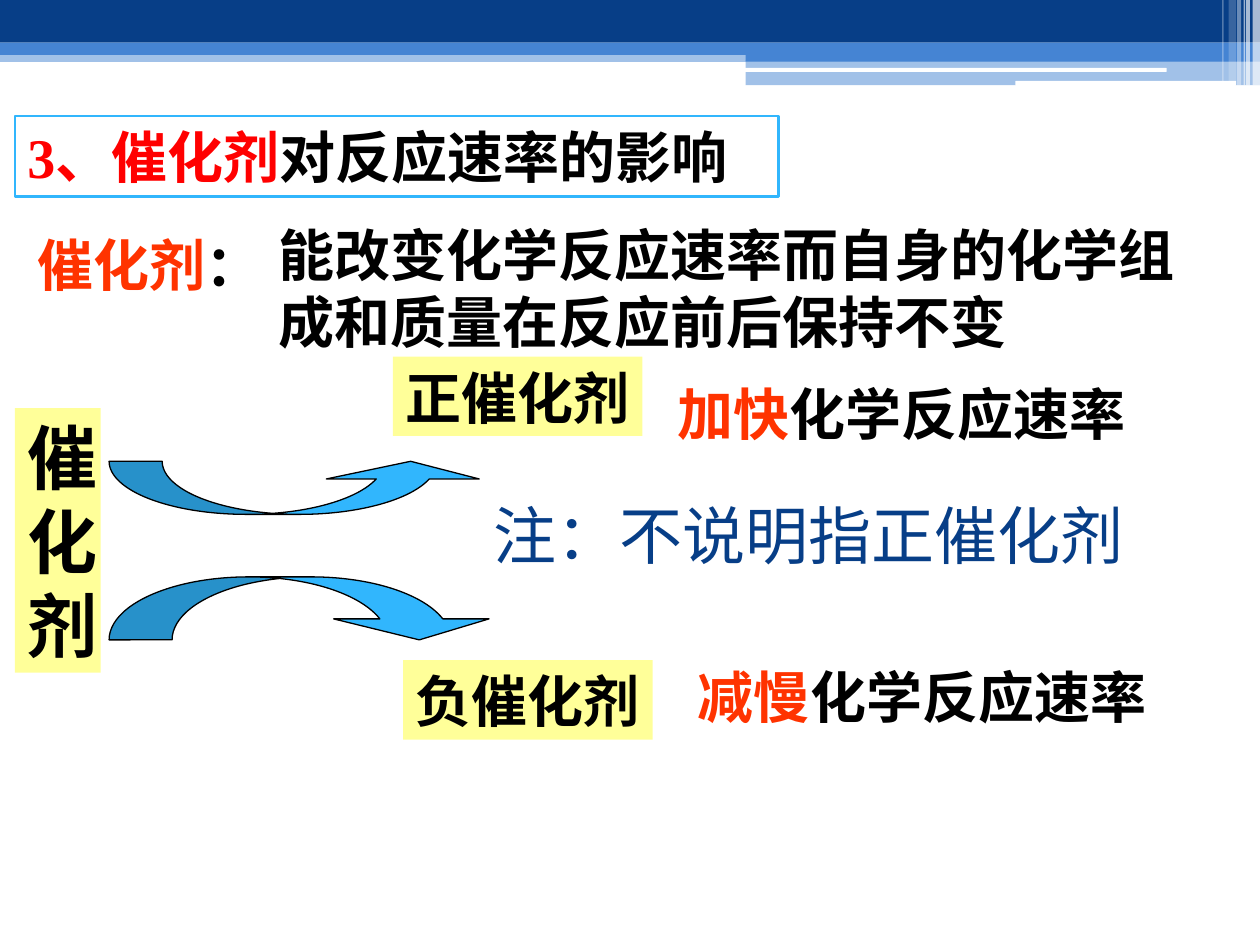
from lxml.etree import SubElement
from pptx import Presentation
from pptx.dml.color import RGBColor
from pptx.enum.shapes import MSO_SHAPE as SHAPE
from pptx.enum.text import MSO_ANCHOR, MSO_AUTO_SIZE, PP_ALIGN
from pptx.oxml.ns import qn
from pptx.util import Cm, Pt

THEME = {
    "navy": "073E87", "blue": "4584D3", "sky": "31B6FD", "white": "FFFFFF",
    "black": "000000", "red": "FF0000", "orange": "FF3300", "yellow": "FFFF99",
    "cjk": "Noto Sans CJK JP", "serif": "Times New Roman", "note": "Cambria",
    "body": 32, "large": 36, "huge": 40,
}

BARS = [
    (SHAPE.RECTANGLE, (0, 1.02, 25.4, 0.23), "blue", 50),
    (SHAPE.RECTANGLE, (0, 0, 25.4, 0.86), "navy", 100),
    (SHAPE.RECTANGLE, (0, 0.86, 25.4, 0.25), "blue", 100),
    (SHAPE.RECTANGLE, (15.03, 0.99, 10.37, 0.25), "blue", 100),
    (SHAPE.RECTANGLE, (15.03, 1.22, 10.37, 0.5), "blue", 50),
    (SHAPE.ROUNDED_RECTANGLE, (15.01, 1.37, 8.51, 0.08), "white", 100),
    (SHAPE.ROUNDED_RECTANGLE, (20.47, 1.63, 4.45, 0.1), "white", 100),
]
STRIPES = [
    (25.25, 0.15, 1.73, 65), (25.12, 0.08, 1.73, 65), (25.07, 0.03, 1.73, 60),
    (24.94, 0.08, 1.73, 40), (24.77, 0.15, 1.63, 20), (24.64, 0.03, 1.63, 30),
]
ARROWS = [
    (SHAPE.CURVED_DOWN_ARROW, (2.2, 11.63, 7.82, 1.27), (1.233, 2.467, 0.333)),
    (SHAPE.CURVED_UP_ARROW, (2.2, 9.3, 7.62, 1.07), (1.44, 2.88, 0.333)),
]
TITLE = [("3、催化剂", "red"), ("对反应速率的影响", "black")]
TITLE_BOX = (0.3, 2.34, 15.39, 1.62)
LABELS = [
    ((0.3, 8.23, 1.73, 5.33), "催化剂", "huge", True),
    ((7.92, 7.19, 5.03, 1.6), "正催化剂", "body", False),
    ((8.13, 13.31, 5.03, 1.6), "负催化剂", "body", False),
]
TEXTS = [
    ((0.51, 4.52, 6.15, 1.6), [("催化剂", "orange"), ("：", "black")], True),
    ((5.36, 4.32, 19.25, 2.97),
     [("能改变化学反应速率而自身的化学组成和质量在反应前后保持不变", "black")], True),
    ((13.41, 7.52, 9.55, 1.6), [("加快", "orange"), ("化学反应速率", "black")], False),
    ((13.82, 13.23, 9.55, 1.6), [("减慢", "orange"), ("化学反应速率", "black")], False),
]
NOTE = [("注：不说明指正催化剂", "navy")]
NOTE_BOX = (9.7, 9.88, 14.4, 1.78)


def color(name):
    return RGBColor.from_string(THEME[name])


def paint(sp, fill, alpha=100, line=None, width=0.75):
    sp.fill.solid()
    sp.fill.fore_color.rgb = color(fill)
    if alpha < 100:
        clr = sp.fill._xPr.find(qn("a:solidFill"))[0]
        SubElement(clr, qn("a:alpha"), val=str(alpha * 1000))
    if line:
        sp.line.color.rgb = color(line)
        sp.line.width = Pt(width)
    else:
        sp.line.fill.background()


def add_shape(s, kind, box, fill, alpha=100, line=None):
    sp = s.shapes.add_shape(kind, *map(Cm, box))
    sp.shadow.inherit = False
    paint(sp, fill, alpha, line)
    return sp


def write(sp, runs, size="body", font="cjk", bold=True, wrap=True):
    tf = sp.text_frame
    frame = {
        "word_wrap": wrap, "auto_size": MSO_AUTO_SIZE.NONE,
        "vertical_anchor": MSO_ANCHOR.TOP,
        "margin_left": Cm(0.25), "margin_right": Cm(0.25),
        "margin_top": Cm(0.13), "margin_bottom": Cm(0.13),
    }
    for key, value in frame.items():
        setattr(tf, key, value)
    p = tf.paragraphs[0]
    for key, value in {"alignment": PP_ALIGN.LEFT, "line_spacing": 1.0,
                       "space_before": Pt(0)}.items():
        setattr(p, key, value)
    for text, tint in runs:
        r = p.add_run()
        r.text = text
        for key, value in {"name": THEME[font], "size": Pt(THEME[size]),
                           "bold": bold}.items():
            setattr(r.font, key, value)
        r.font.color.rgb = color(tint)
        SubElement(r.font._element, qn("a:ea"), typeface=THEME["cjk"])


def add_text(s, box, runs, **style):
    write(s.shapes.add_textbox(*map(Cm, box)), runs, **style)


def main():
    prs = Presentation()
    prs.slide_width, prs.slide_height = Cm(25.4), Cm(19.05)
    s = prs.slides.add_slide(prs.slide_layouts[5])

    for kind, box, fill, alpha in BARS:
        add_shape(s, kind, box, fill, alpha)
    for left, width, height, alpha in STRIPES:
        add_shape(s, SHAPE.RECTANGLE, (left, 0, width, height), "white", alpha)

    title = s.shapes.title
    for key, value in zip(("left", "top", "width", "height"), TITLE_BOX):
        setattr(title, key, Cm(value))
    paint(title, "white", line="sky", width=1.5)
    write(title, TITLE, font="serif")

    for kind, box, adjustments in ARROWS:
        sp = add_shape(s, kind, box, "sky", line="black")
        for i, value in enumerate(adjustments):
            sp.adjustments[i] = value
    for box, text, size, wrap in LABELS:
        sp = add_shape(s, SHAPE.RECTANGLE, box, "yellow")
        write(sp, [(text, "black")], size=size, wrap=wrap)
    for box, runs, wrap in TEXTS:
        add_text(s, box, runs, wrap=wrap)
    add_text(s, NOTE_BOX, NOTE, size="large", font="note", bold=False)

    prs.save("out.pptx")


if __name__ == "__main__":
    main()
